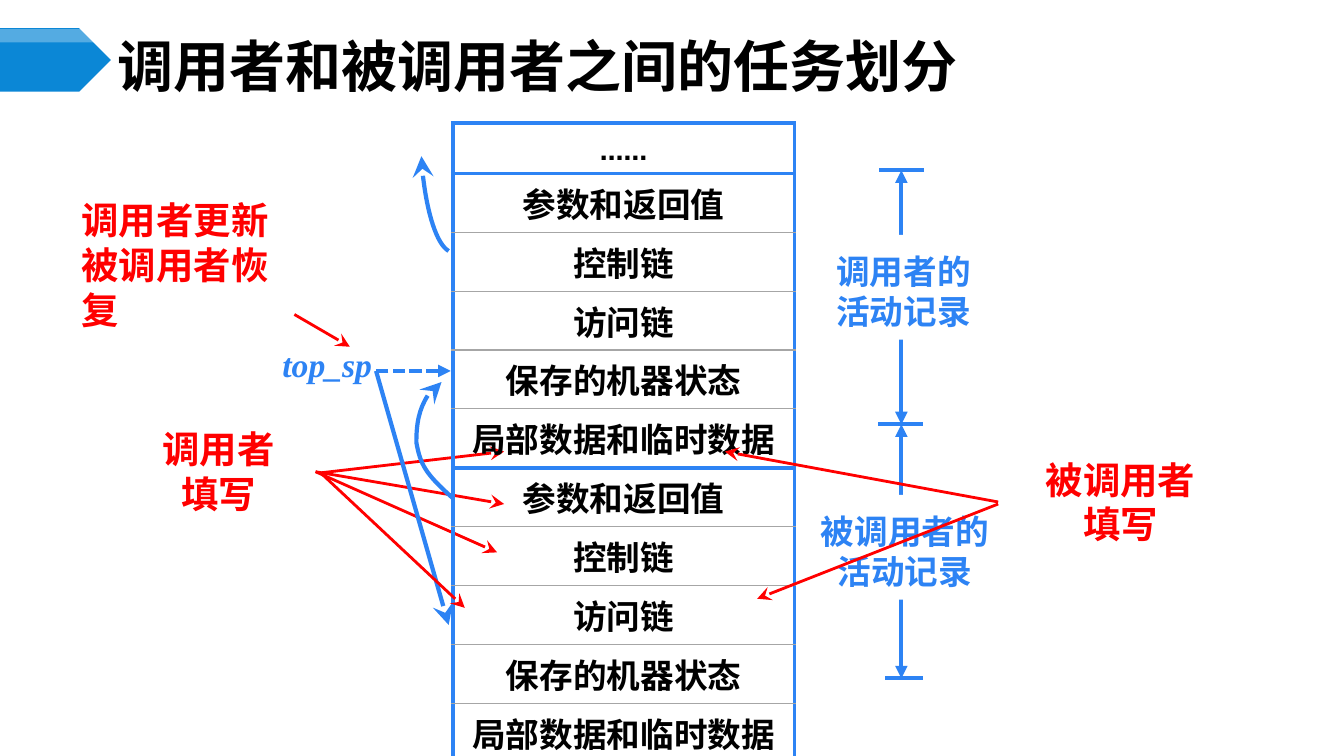
from itertools import pairwise

from lxml.etree import SubElement
from pptx import Presentation
from pptx.dml.color import RGBColor
from pptx.enum.dml import MSO_LINE
from pptx.enum.shapes import MSO_CONNECTOR, MSO_SHAPE
from pptx.enum.text import MSO_ANCHOR, MSO_AUTO_SIZE, PP_ALIGN
from pptx.oxml.ns import qn
from pptx.util import Inches, Pt

COLORS = {"black": "000000", "white": "FFFFFF", "red": "FF0000", "blue": "2D83F4",
          "banner": "0B87D6", "grey": "A6A6A6"}
CJK = "Noto Sans CJK SC"

TITLE = "调用者和被调用者之间的任务划分"
RECORD = ["参数和返回值", "控制链", "访问链", "保存的机器状态", "局部数据和临时数据"]
STACK = ["……", *RECORD, *RECORD]
HEAVY_EDGES = {0, 1, 6, 11}
STACK_LEFT, STACK_TOP, STACK_WIDTH = 4.49, 1.22, 3.39
TOP_ROW_HEIGHT, RECORDS_HEIGHT = 0.5, 5.84

# lines of text, position and size, alignment
RED_LABELS = [
    (["调用者填写"], (1.42, 4.48, 1.5, 0.39), PP_ALIGN.CENTER),
    (["被调用者填写"], (10.25, 4.58, 1.73, 0.79), PP_ALIGN.CENTER),
    (["调用者更新", "被调用者恢复"], (0.71, 2.23, 2.21, 0.79), PP_ALIGN.LEFT),
]
# text, position and size, side inset
RECORD_LABELS = [
    ("被调用者的活动记录", (8.13, 4.91, 1.69, 1.04), 0),
    ("调用者的活动记录", (8.07, 2.33, 1.78, 1.04), 0.1),
]
RED_ARROWS_BEHIND = [
    ((3.19, 4.69), (5, 4.48)), ((3.13, 4.68), (5, 5)),
    ((2.92, 3.12), (3.47, 3.44)), ((3.13, 4.68), (4.93, 5.48)),
]
RED_ARROWS_FRONT = [
    ((9.9, 5), (7.51, 5.94)), ((9.9, 4.98), (7.19, 4.48)), ((3.19, 4.7), (4.61, 6.03)),
]
BRACKET_X = 8.94
BRACKET_TICKS = [(1.69, 8.72, 9.16), (4.21, 8.71, 9.15), (6.73, 8.78, 9.15)]
CURVES = [
    [(4.45, 2.49), (4.33, 2.42), (4.2, 2), (4.18, 1.55)],
    [(4.49, 4.94), (4.22, 4.7), (4.17, 4.61), (4.13, 4.39),
     (4.13, 4.2), (4.18, 3.9), (4.38, 3.79)],
]


def rgb(name):
    return RGBColor.from_string(COLORS[name])


def lengths(values):
    return [Inches(value) for value in values]


def write(frame, lines, *, size, color="black", font=CJK, east_asian=CJK, italic=False,
          align=PP_ALIGN.CENTER, anchor=None, insets=None, wrap=True):
    frame.word_wrap = wrap
    if not wrap:
        frame.auto_size = MSO_AUTO_SIZE.SHAPE_TO_FIT_TEXT
    if anchor is not None:
        frame.vertical_anchor = anchor
    if insets:
        (frame.margin_left, frame.margin_top,
         frame.margin_right, frame.margin_bottom) = lengths(insets)
    for number, line in enumerate(lines):
        para = frame.add_paragraph() if number else frame.paragraphs[0]
        para.alignment = align
        span = para.add_run()
        span.text = line
        span.font.size, span.font.bold, span.font.italic = Pt(size), True, italic
        span.font.name = font
        span.font.color.rgb = rgb(color)
        if east_asian:
            SubElement(span.font._element, qn("a:ea"), typeface=east_asian)


def style_line(shape, color, width, head=None, tail=None):
    shape.line.color.rgb = rgb(color)
    shape.line.width = Pt(width)
    outline = shape.line._get_or_add_ln()
    for tag, kind in (("a:headEnd", head), ("a:tailEnd", tail)):
        if kind:
            size = "lg" if kind == "stealth" else "med"
            SubElement(outline, qn(tag), type=kind, w=size, len=size)


def add_line(page, start, end, color="blue", width=3, head=None, tail=None, dash=None):
    line = page.shapes.add_connector(MSO_CONNECTOR.STRAIGHT, *lengths(start + end))
    if dash:
        line.line.dash_style = dash
    style_line(line, color, width, head, tail)
    SubElement(line._element.spPr, qn("a:effectLst"))


def add_filled(page, kind, place, color):
    shape = page.shapes.add_shape(kind, *lengths(place))
    shape.shadow.inherit = False
    shape.fill.solid()
    shape.fill.fore_color.rgb = rgb(color)
    shape.line.fill.background()
    return shape


def add_banner(page):
    add_filled(page, MSO_SHAPE.PENTAGON, (0, 0.28, 1.1, 0.63), "banner")
    gloss = add_filled(page, MSO_SHAPE.PENTAGON, (0, 0.29, 1.1, 0.13), "white")
    color = gloss._element.spPr.find(qn("a:solidFill"))[0]
    SubElement(color, qn("a:alpha"), val="30000")


def add_border(cell, tag, heavy):
    border = SubElement(cell._tc.get_or_add_tcPr(), qn(tag), w=str(Pt(3 if heavy else 1)))
    fill = SubElement(border, qn("a:solidFill"))
    SubElement(fill, qn("a:srgbClr"), val=COLORS["blue" if heavy else "grey"])


def add_stack(page):
    place = (STACK_LEFT, STACK_TOP, STACK_WIDTH, TOP_ROW_HEIGHT + RECORDS_HEIGHT)
    table = page.shapes.add_table(len(STACK), 1, *lengths(place)).table
    table.first_row = table.horz_banding = False
    record_row_height = RECORDS_HEIGHT / (len(STACK) - 1)
    for row, text in enumerate(STACK):
        table.rows[row].height = Inches(record_row_height if row else TOP_ROW_HEIGHT)
        cell = table.cell(row, 0)
        write(cell.text_frame, [text], size=24, font="Cabin", east_asian=CJK if row else None)
        for tag, heavy in (("a:lnL", True), ("a:lnR", True),
                           ("a:lnT", row in HEAVY_EDGES), ("a:lnB", row + 1 in HEAVY_EDGES)):
            add_border(cell, tag, heavy)
        cell.fill.background()


def add_curve(page, points):
    """Draw cubic curves through a start point and groups of three points."""
    start, *rest = [tuple(lengths(point)) for point in points]
    builder = page.shapes.build_freeform(*start)
    builder.add_line_segments(rest, close=False)
    curve = builder.convert_to_shape()
    curve.shadow.inherit = False
    curve.fill.background()
    style_line(curve, "blue", 3, tail="stealth")
    segments = list(curve._element.iter(qn("a:lnTo")))
    outline = segments[0].getparent()
    for first in range(0, len(segments), 3):
        bezier = SubElement(outline, qn("a:cubicBezTo"))
        for segment in segments[first:first + 3]:
            bezier.append(segment[0])
            outline.remove(segment)


def main():
    deck = Presentation()
    deck.slide_width, deck.slide_height = Inches(13.33), Inches(7.5)
    page = deck.slides.add_slide(deck.slide_layouts[5])

    add_banner(page)
    title = page.shapes.title
    title.left, title.top, title.width, title.height = lengths((1.1, 0.39, 11.56, 0.52))
    write(title.text_frame, [TITLE], size=40, align=PP_ALIGN.LEFT,
          anchor=MSO_ANCHOR.MIDDLE, insets=(0.07, 0.04, 0.07, 0.04))

    for lines, place, align in RED_LABELS:
        label = page.shapes.add_textbox(*lengths(place))
        write(label.text_frame, lines, size=26.7, color="red", align=align,
              anchor=MSO_ANCHOR.MIDDLE, wrap=False)
    for start, end in RED_ARROWS_BEHIND:
        add_line(page, start, end, "red", 2, tail="stealth")
    add_line(page, (4.45, 6.2), (3.73, 3.68), head="stealth")

    add_stack(page)
    for points in CURVES:
        add_curve(page, points)

    for (top, *_), (bottom, *_) in pairwise(BRACKET_TICKS):
        add_line(page, (BRACKET_X, bottom), (BRACKET_X, top), head="triangle", tail="triangle")
    for y, left, right in BRACKET_TICKS:
        add_line(page, (right, y), (left, y))

    add_line(page, (4.47, 3.68), (3.72, 3.68), head="triangle", dash=MSO_LINE.SQUARE_DOT)
    pointer = page.shapes.add_textbox(*lengths((2.57, 3.29, 1.35, 0.79)))
    write(pointer.text_frame, ["top_sp"], size=24, color="blue", font="Times New Roman",
          east_asian=None, italic=True, insets=(0.1, 0.12, 0.1, 0.05))

    for text, place, side in RECORD_LABELS:
        label = add_filled(page, MSO_SHAPE.RECTANGLE, place, "white")
        write(label.text_frame, [text], size=24, color="blue", anchor=MSO_ANCHOR.MIDDLE,
              insets=(side, 0.12, side, 0.05))
    for start, end in RED_ARROWS_FRONT:
        add_line(page, start, end, "red", 2, tail="stealth")

    deck.save("out.pptx")


if __name__ == "__main__":
    main()
